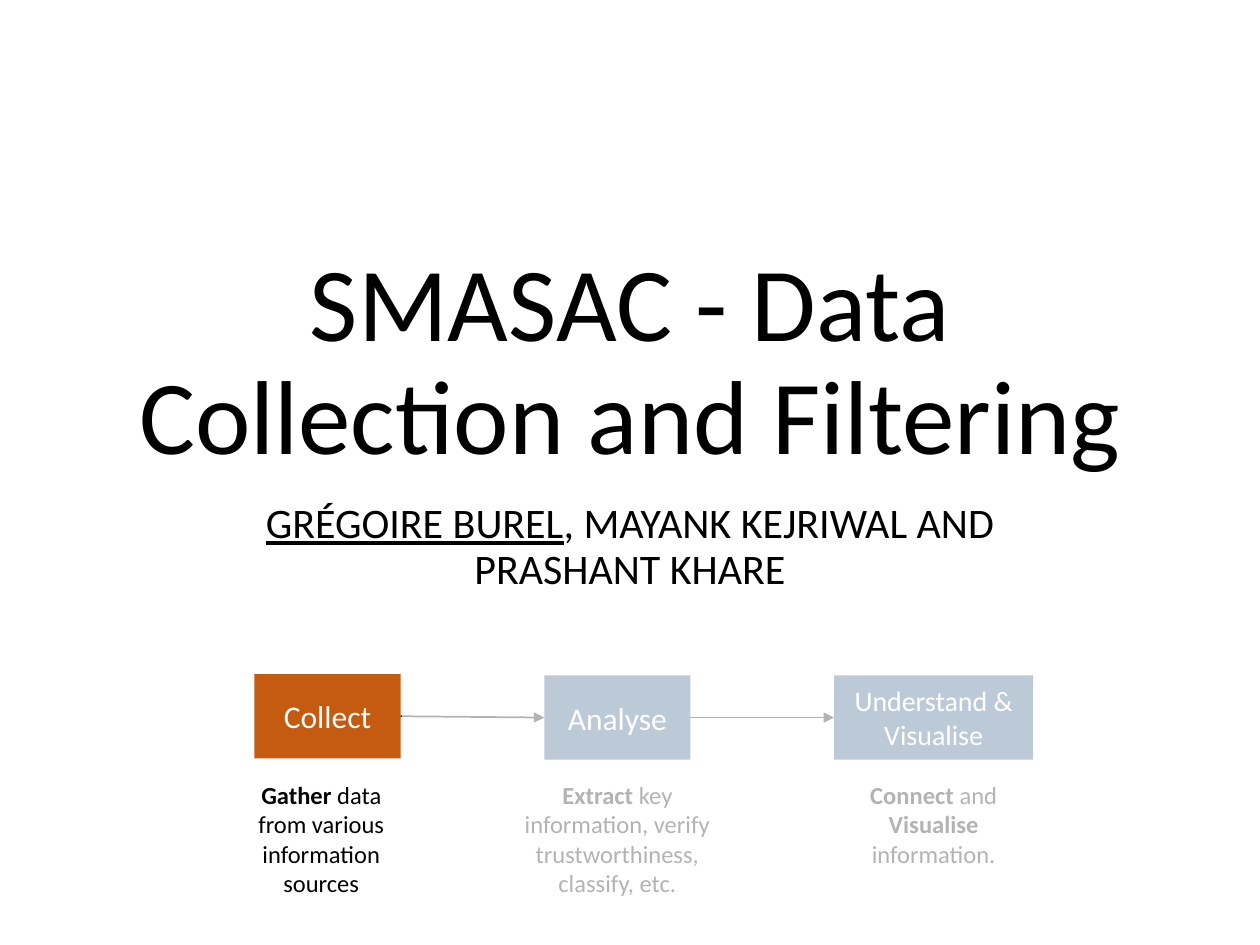
from lxml import etree
from pptx import Presentation
from pptx.dml.color import RGBColor
from pptx.enum.shapes import MSO_CONNECTOR, MSO_SHAPE
from pptx.enum.text import MSO_ANCHOR, PP_ALIGN
from pptx.oxml.ns import qn
from pptx.util import Inches, Pt

RECT = MSO_SHAPE.RECTANGLE
STRAIGHT = MSO_CONNECTOR.STRAIGHT
TOP, MIDDLE, BOTTOM = MSO_ANCHOR.TOP, MSO_ANCHOR.MIDDLE, MSO_ANCHOR.BOTTOM
CENTER = PP_ALIGN.CENTER

FONT = "Calibri"
BLACK, WHITE, ORANGE, NAVY = "000000", "FFFFFF", "C55A11", "1F4E79"

# The slide is a grid of 100 columns by 75 rows
COLUMNS, ROWS = 100, 75
SLIDE_W, SLIDE_H = Inches(10), Inches(7.5)

# Stages: label, label size, fill, box width, box top, caption width,
# caption shift, caption runs as (text, bold)
STAGES = [
    ("Collect", 18, ORANGE, 11.6, 53.5, 12.6, -0.5,
     [("Gather", True), (" data from various information sources", False)]),
    ("Analyse", 18, NAVY, 11.6, 53.6, 17.4, 0,
     [("Extract", True),
      (" key information, verify trustworthiness, classify, etc.", False)]),
    ("Understand & Visualise", 16, NAVY, 15.8, 53.6, 14.8, 0,
     [("Connect ", True), ("and", False), (" Visualise", True),
      (" information.", False)]),
]
STAGE_PITCH, STAGE_H = 23, 6.7
CAPTION_TOP, CAPTION_H = 61.4, 12.1


def color(hex_string):
    return RGBColor.from_string(hex_string)


def grid(left, top, width, height):
    """Turn a box in columns and rows into slide lengths."""
    col, row = SLIDE_W / COLUMNS, SLIDE_H / ROWS
    return [int(v) for v in (left * col, top * row, width * col, height * row)]


def write(shape, runs, size, ink, anchor=TOP, spacing=None, before=None):
    """Fill a shape with one centred paragraph of (text, bold, underline) runs."""
    frame = shape.text_frame
    frame.word_wrap = True
    frame.vertical_anchor = anchor
    paragraph = frame.paragraphs[0]
    paragraph.alignment = CENTER
    if spacing is not None:
        paragraph.line_spacing = spacing
    if before is not None:
        paragraph.space_before = Pt(before)
    for text, bold, underline in runs:
        run = paragraph.add_run()
        run.text = text
        run.font.name, run.font.size = FONT, Pt(size)
        run.font.bold, run.font.underline = bold, underline
        run.font.color.rgb = color(ink)


def add_block(slide, box, fill):
    block = slide.shapes.add_shape(RECT, *grid(*box))
    block.shadow.inherit = False
    block.fill.solid()
    block.fill.fore_color.rgb = color(fill)
    block.line.fill.background()
    return block


def add_arrow(slide, source, target):
    """Arrow from the right side of one stage to the left side of the next."""
    arrow = slide.shapes.add_connector(STRAIGHT, 0, 0, 0, 0)
    arrow.begin_connect(source, 3)
    arrow.end_connect(target, 1)
    arrow.line.color.rgb = color(BLACK)
    arrow.line.width = Pt(1)
    etree.SubElement(arrow.line._get_or_add_ln(), qn("a:tailEnd"), type="triangle")
    etree.SubElement(arrow._element.spPr, qn("a:effectLst"))


def add_title(slide, box):
    title = slide.shapes.add_textbox(*grid(*box))
    write(title, [("SMASAC - Data Collection and Filtering", False, False)],
          60, BLACK, BOTTOM, spacing=0.9)


def add_authors(slide, box):
    authors = slide.shapes.add_textbox(*grid(*box))
    write(authors, [("GRÉGOIRE BUREL", False, True),
                    (", MAYANK KEJRIWAL AND PRASHANT KHARE", False, False)],
          24, BLACK, spacing=0.9, before=10)


def add_pipeline(slide, first_left):
    # Stage boxes
    stages = []
    for i, (label, size, fill, width, top, *_) in enumerate(STAGES):
        box = (first_left + i * STAGE_PITCH, top, width, STAGE_H)
        stage = add_block(slide, box, fill)
        write(stage, [(label, False, False)], size, WHITE, MIDDLE)
        stages.append(stage)

    # Arrows between neighbours
    for source, target in zip(stages, stages[1:]):
        add_arrow(slide, source, target)

    # Captions centred below the boxes
    for i, (*_, width, _, caption_w, shift, runs) in enumerate(STAGES):
        width = STAGES[i][3]
        left = first_left + i * STAGE_PITCH + (width - caption_w) / 2 + shift
        caption = slide.shapes.add_textbox(
            *grid(left, CAPTION_TOP, caption_w, CAPTION_H))
        write(caption, [(text, bold, False) for text, bold in runs],
              14, BLACK, before=2.8)


def add_veil(slide, box, opacity):
    """Translucent white sheet that fades the stages still to come."""
    veil = add_block(slide, box, WHITE)
    fill = veil._element.spPr.find(qn("a:solidFill"))
    etree.SubElement(fill[0], qn("a:alpha"), val=str(opacity * 1000))


def main():
    prs = Presentation()
    prs.slide_width, prs.slide_height = SLIDE_W, SLIDE_H
    slide = prs.slides.add_slide(prs.slide_layouts[6])
    add_title(slide, (7.5, 12.3, 85, 26.1))
    add_pipeline(slide, 20.2)
    add_veil(slide, (31.9, 48.3, 59.4, 25.2), 70)
    add_authors(slide, (12.5, 39.4, 75, 18.1))
    prs.save("out.pptx")


if __name__ == "__main__":
    main()
